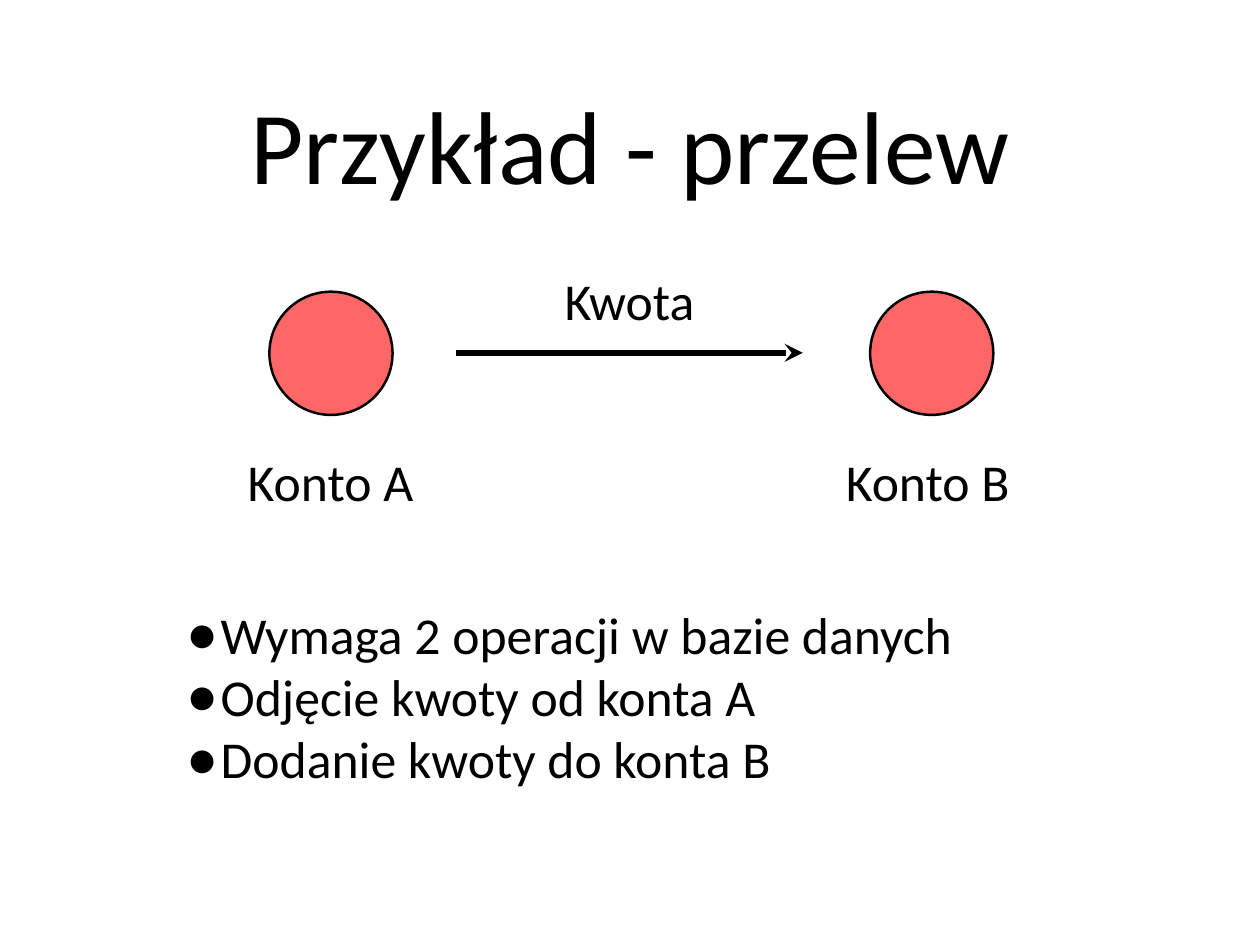
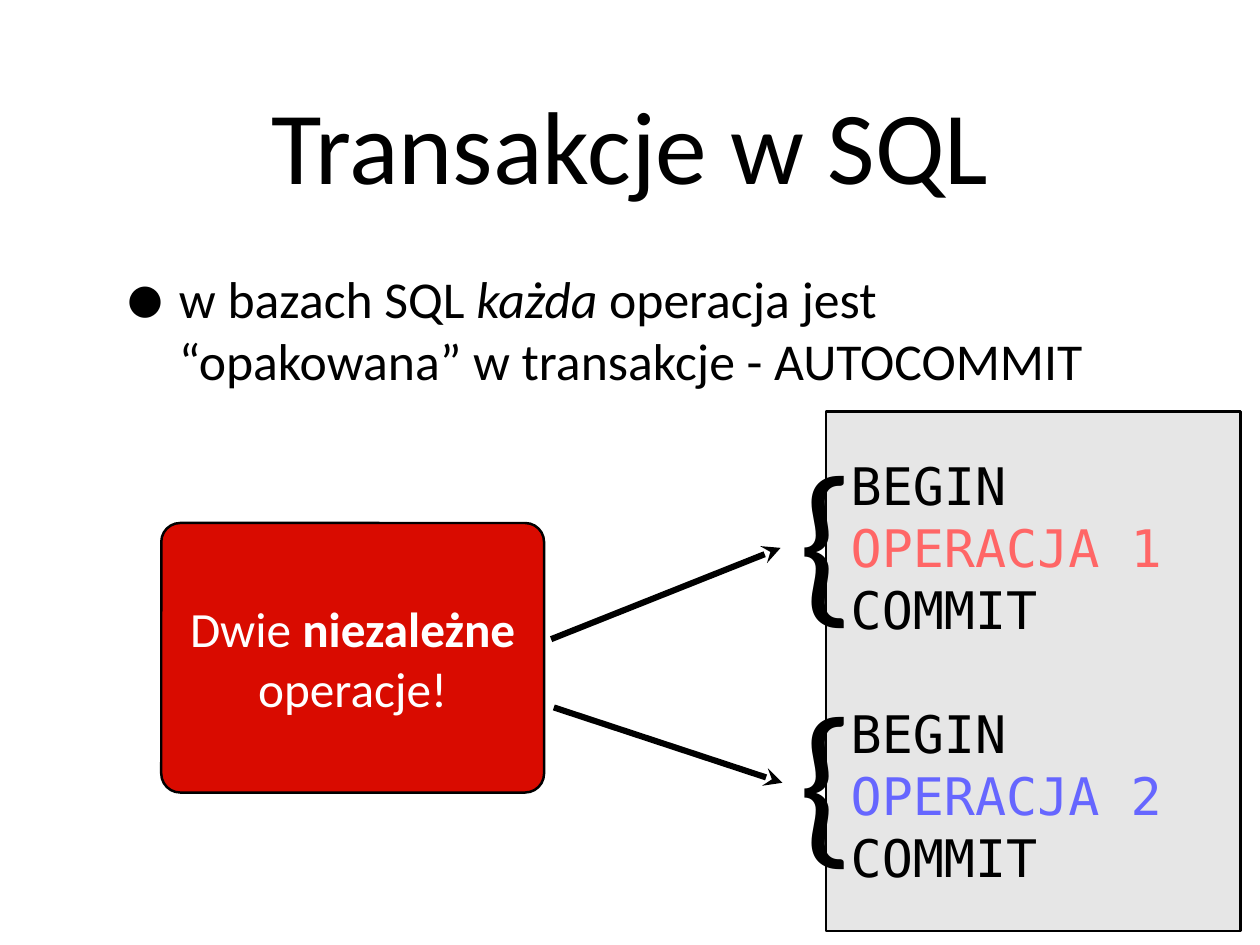
from dataclasses import dataclass
from typing import Optional

from lxml.etree import SubElement
from pptx import Presentation
from pptx.dml.color import RGBColor
from pptx.enum.shapes import MSO_CONNECTOR as Connector, MSO_SHAPE as Preset
from pptx.enum.text import MSO_ANCHOR as Anchor, PP_ALIGN as Align
from pptx.oxml.ns import qn
from pptx.shapes.autoshape import Shape
from pptx.slide import Slide
from pptx.text.text import TextFrame
from pptx.util import Pt

PX = 9144  # EMU, a hundredth of an inch

BLACK = RGBColor(0x00, 0x00, 0x00)
WHITE = RGBColor(0xFF, 0xFF, 0xFF)
CORAL = RGBColor(0xFF, 0x66, 0x66)
BLUE = RGBColor(0x66, 0x66, 0xFF)
RED = RGBColor(0xD9, 0x0B, 0x00)
GREY = RGBColor(0xE6, 0xE6, 0xE6)

BODY_FONT = "Calibri"
CODE_FONT = "DejaVu Sans Mono"
TITLE_SIZE, BRACE_SIZE, BODY_SIZE, CALLOUT_SIZE = 84, 144, 42, 40
BODY_PITCH = 50.4


@dataclass(frozen=True)
class Box:
    left: int
    top: int
    width: int
    height: int

    def emu(self) -> tuple[int, int, int, int]:
        return (self.left * PX, self.top * PX, self.width * PX, self.height * PX)


@dataclass(frozen=True)
class Span:
    text: str
    bold: bool = False
    italic: bool = False


@dataclass(frozen=True)
class Bullet:
    percent: int
    indent: int


@dataclass(frozen=True)
class Line:
    spans: tuple[Span, ...]
    size: int = BODY_SIZE
    color: RGBColor = BLACK
    font: str = BODY_FONT
    align: Align = Align.LEFT
    pitch: Optional[float] = None
    before: float = 0
    bullet: Optional[Bullet] = None


@dataclass(frozen=True)
class Account:
    name: str
    circle_left: int
    label_left: int


@dataclass(frozen=True)
class Arrow:
    start: tuple[int, int]
    tip: tuple[int, int]


TITLE_BOX = Box(139, 28, 1144, 267)
ACCOUNTS = (Account("Konto A", 304, 265), Account("Konto B", 982, 939))
TRANSFER_ARROW = Arrow((515, 398), (906, 398))
TRANSFER_STEPS = (
    "Wymaga 2 operacji w bazie danych",
    "Odjęcie kwoty od konta A",
    "Dodanie kwoty do konta B",
)
AUTOCOMMIT_RULE = (
    Span("w bazach SQL "),
    Span("każda", italic=True),
    Span(" operacja jest “opakowana” w transakcje - AUTOCOMMIT"),
)
CALLOUT = (Span("Dwie "), Span("niezależne", bold=True), Span(" operacje!"))
TRANSACTIONS = (("OPERACJA 1", CORAL), ("OPERACJA 2", BLUE))
TRANSACTION_ARROWS = (Arrow((622, 721), (881, 618)), Arrow((625, 798), (883, 883)))
BRACE_TOP, BRACE_STEP = 482, 272


def add_bullet(paragraph, bullet: Bullet) -> None:
    properties = paragraph._p.get_or_add_pPr()
    properties.set("marL", str(bullet.indent * PX))
    properties.set("indent", str(-bullet.indent * PX))
    color = SubElement(properties, qn("a:buClr"))
    SubElement(color, qn("a:srgbClr"), val=str(BLACK))
    SubElement(properties, qn("a:buSzPct"), val=str(bullet.percent * 1000))
    SubElement(properties, qn("a:buFont"), typeface=BODY_FONT)
    SubElement(properties, qn("a:buChar"), char="•")


def write(frame: TextFrame, lines: list[Line], inset: int = 0, wrap: bool = True) -> None:
    frame.word_wrap = wrap
    frame.vertical_anchor = Anchor.MIDDLE
    frame.margin_left = frame.margin_right = inset * PX
    frame.margin_top = frame.margin_bottom = inset * PX
    for index, line in enumerate(lines):
        paragraph = frame.add_paragraph() if index else frame.paragraphs[0]
        if line.bullet:
            add_bullet(paragraph, line.bullet)
        paragraph.alignment = line.align
        if line.pitch:
            paragraph.line_spacing = Pt(line.pitch)
        if line.before:
            paragraph.space_before = Pt(line.before)
        for span in line.spans:
            run = paragraph.add_run()
            run.text = span.text
            run.font.name = line.font
            run.font.size = Pt(line.size)
            run.font.color.rgb = line.color
            run.font.bold = span.bold
            run.font.italic = span.italic


def add_text(slide: Slide, box: Box, lines: list[Line], inset: int = 0, wrap: bool = True) -> None:
    write(slide.shapes.add_textbox(*box.emu()).text_frame, lines, inset, wrap)


def add_label(slide: Slide, box: Box, text: str, size: int = BODY_SIZE) -> None:
    """Centred text on one line that never wraps."""
    add_text(slide, box, [Line((Span(text),), size, align=Align.CENTER)], wrap=False)


def add_outlined(slide: Slide, preset: Preset, box: Box, fill: RGBColor) -> Shape:
    shape = slide.shapes.add_shape(preset, *box.emu())
    shape.shadow.inherit = False
    shape.fill.solid()
    shape.fill.fore_color.rgb = fill
    shape.line.color.rgb = BLACK
    shape.line.width = Pt(2)
    return shape


def add_arrow(slide: Slide, arrow: Arrow) -> None:
    ends = (length * PX for length in arrow.start + arrow.tip)
    connector = slide.shapes.add_connector(Connector.STRAIGHT, *ends)
    connector.line.color.rgb = BLACK
    connector.line.width = Pt(5)
    SubElement(connector.line._get_or_add_ln(), qn("a:tailEnd"), type="stealth")
    SubElement(connector._element.spPr, qn("a:effectLst"))


def add_titled_slide(deck: Presentation, title: str) -> Slide:
    slide = deck.slides.add_slide(deck.slide_layouts[6])
    heading = Line((Span(title),), TITLE_SIZE, align=Align.CENTER)
    add_text(slide, TITLE_BOX, [heading], inset=6)
    return slide


def code_lines() -> list[Line]:
    lines = []
    for number, (operation, color) in enumerate(TRANSACTIONS):
        statements = (("BEGIN", BLACK), (operation, color), ("COMMIT", BLACK))
        for row, (statement, ink) in enumerate(statements):
            gap = BODY_PITCH if number and not row else 0
            lines.append(Line((Span(statement),), color=ink, font=CODE_FONT,
                              pitch=BODY_PITCH, before=gap))
    return lines


def build_transfer(deck: Presentation) -> None:
    slide = add_titled_slide(deck, "Przykład - przelew")
    for account in ACCOUNTS:
        add_outlined(slide, Preset.OVAL, Box(account.circle_left, 329, 139, 139), CORAL)
        add_label(slide, Box(account.label_left, 507, 216, 70), account.name)
    add_arrow(slide, TRANSFER_ARROW)
    add_label(slide, Box(625, 303, 171, 70), "Kwota")
    steps = [Line((Span(step),), pitch=BODY_PITCH, bullet=Bullet(125, 38))
             for step in TRANSFER_STEPS]
    add_text(slide, Box(211, 680, 999, 210), steps)


def build_transactions(deck: Presentation) -> None:
    slide = add_titled_slide(deck, "Transakcje w SQL")
    code = add_outlined(slide, Preset.RECTANGLE, Box(932, 464, 468, 586), GREY)
    write(code.text_frame, code_lines(), inset=28)
    rule = Line(AUTOCOMMIT_RULE, pitch=BODY_PITCH, bullet=Bullet(171, 63))
    add_text(slide, Box(139, 251, 1144, 239), [rule])
    for number, arrow in enumerate(TRANSACTION_ARROWS):
        brace = Box(895, BRACE_TOP + number * BRACE_STEP, 76, 240)
        add_label(slide, brace, "{", BRACE_SIZE)
        add_arrow(slide, arrow)
    callout = add_outlined(slide, Preset.ROUNDED_RECTANGLE, Box(182, 590, 432, 304), RED)
    callout.adjustments[0] = 0.07
    write(callout.text_frame, [Line(CALLOUT, CALLOUT_SIZE, WHITE, align=Align.CENTER)])


def main() -> None:
    deck = Presentation()
    deck.slide_width, deck.slide_height = 1422 * PX, 1066 * PX
    build_transfer(deck)
    build_transactions(deck)
    deck.save("out.pptx")


if __name__ == "__main__":
    main()
